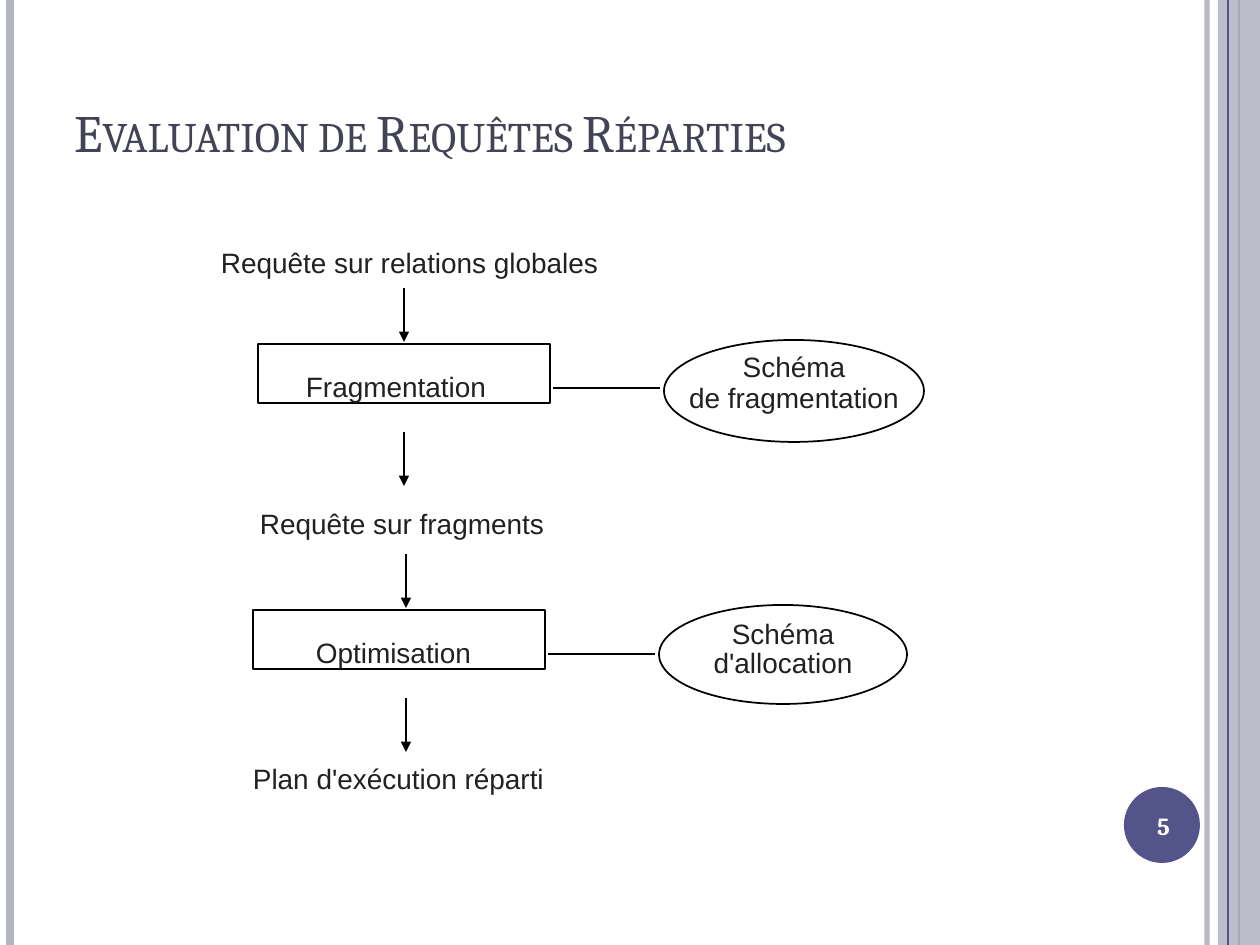
from lxml.etree import SubElement
from pptx import Presentation
from pptx.dml.color import RGBColor
from pptx.enum.shapes import MSO_CONNECTOR, MSO_SHAPE
from pptx.enum.text import MSO_ANCHOR, PP_ALIGN
from pptx.oxml.ns import qn
from pptx.util import Emu, Pt

PX = 914400 / 126
INK, BLACK, INDIGO, LAVENDER = "232021", "000000", "53548A", "B3B4C4"
STAGE_WIDTH, STAGE_HEIGHT = 292, 59


def px(length):
    return Emu(round(length * PX))


def color(hex_string):
    return RGBColor.from_string(hex_string)


def set_opacity(shape, percent):
    for clr in shape.element.spPr.iter(qn("a:srgbClr")):
        SubElement(clr, qn("a:alpha"), val=str(percent * 1000))


def add_line(slide, x1, y1, x2, y2, line_color=BLACK, width=1, arrow=False):
    line = slide.shapes.add_connector(
        MSO_CONNECTOR.STRAIGHT, px(x1), px(y1), px(x2), px(y2))
    line.line.color.rgb = color(line_color)
    line.line.width = Pt(width)
    if arrow:
        SubElement(line.line._get_or_add_ln(), qn("a:tailEnd"),
                   type="triangle", w="med", len="med")
    SubElement(line.element.spPr, qn("a:effectLst"))
    return line


def add_outline(slide, preset, box, fill=None, line=None):
    shape = slide.shapes.add_shape(preset, *map(px, box))
    shape.shadow.inherit = False
    if fill:
        shape.fill.solid()
        shape.fill.fore_color.rgb = color(fill)
    else:
        shape.fill.background()
    if line:
        shape.line.color.rgb = color(line)
        shape.line.width = Pt(1)
    else:
        shape.line.fill.background()
    return shape


def write(shape, text, insets=(0, 0, 0, 0), anchor=MSO_ANCHOR.TOP,
          align=PP_ALIGN.LEFT, size=16, font="Arial", font_color=INK,
          bold=False, spacing=None):
    """Fill a shape with text; insets are left, top, right, bottom in px."""
    frame = shape.text_frame
    frame.text = text
    frame.word_wrap = False
    frame.vertical_anchor = anchor
    (frame.margin_left, frame.margin_top,
     frame.margin_right, frame.margin_bottom) = map(px, insets)
    for paragraph in frame.paragraphs:
        paragraph.alignment = align
        if spacing:
            paragraph.line_spacing = Pt(spacing)
        for run in paragraph.runs:
            run.font.size = Pt(size)
            run.font.name = font
            run.font.bold = bold
            run.font.color.rgb = color(font_color)


def add_margins(slide, width, height):
    """Draw the vertical rules and the band along the slide's edges."""
    right_rule = add_line(slide, width - 53, 0, width - 53, height, LAVENDER, 3)
    set_opacity(right_rule, 93)
    add_line(slide, 10, 0, 10, height, LAVENDER, 4.5)
    add_line(slide, width - 21, 0, width - 21, height, INDIGO, 1.5)
    band = add_outline(slide, MSO_SHAPE.RECTANGLE,
                       (width - 42, 0, 42, height), fill=LAVENDER)
    set_opacity(band, 87)
    add_line(slide, width - 32, 0, width - 32, height, INDIGO, 0.75)


def add_page_number(slide, box, number):
    badge = add_outline(slide, MSO_SHAPE.OVAL, box, fill=INDIGO)
    write(badge, number, (3, 2, 0, 0), MSO_ANCHOR.MIDDLE, PP_ALIGN.CENTER,
          14, "Cambria", "FFFFFF", True)


def set_title(slide, box, text):
    title = slide.shapes.title
    title.left, title.top, title.width, title.height = map(px, box)
    write(title, text, (1, 0, 0, 0), MSO_ANCHOR.BOTTOM,
          size=30, font="Cambria", font_color="424456")
    title.text_frame.paragraphs[0].runs[0]._r.get_or_add_rPr().set("cap", "small")


def add_query(slide, left, top, width, text):
    label = slide.shapes.add_textbox(px(left), px(top), px(width), px(32))
    write(label, text, (1, 0, 0, 0))


def add_stage(slide, left, top, arrow_x, step, indent):
    """Draw a processing step with the arrows into and out of it."""
    step_box = add_outline(slide, MSO_SHAPE.RECTANGLE,
                           (left, top, STAGE_WIDTH, STAGE_HEIGHT), line=BLACK)
    write(step_box, step, (indent, 26, 0, 0))
    for arrow_top in (top - 56, top + 88):
        add_line(slide, arrow_x, arrow_top, arrow_x, arrow_top + 54, arrow=True)
    link_left, link_y = left + STAGE_WIDTH + 3, top + 44
    add_line(slide, link_left, link_y, link_left + 107, link_y)


def add_schema(slide, box, text, lift, spacing):
    """Draw a schema ellipse whose text sits lift px above its centre."""
    schema = add_outline(slide, MSO_SHAPE.OVAL, box, line=BLACK)
    write(schema, text, (0, 0, 0, 2 * lift), MSO_ANCHOR.MIDDLE,
          PP_ALIGN.CENTER, spacing=spacing)


def main():
    prs = Presentation()
    prs.slide_width, prs.slide_height = px(1260), px(945)
    slide = prs.slides.add_slide(prs.slide_layouts[5])

    add_margins(slide, 1260, 945)
    set_title(slide, (73, 97, 969, 66), "Evaluation de Requêtes Réparties")

    add_query(slide, 220, 246, 391, "Requête sur relations globales")
    add_stage(slide, 258, 344, 404, "Fragmentation", 48)
    add_schema(slide, (664, 340, 260, 102), "Schéma\nde fragmentation", 8, 18)

    add_query(slide, 259, 507, 295, "Requête sur fragments")
    add_stage(slide, 253, 610, 406, "Optimisation", 63)
    add_schema(slide, (659, 605, 248, 99), "Schéma\nd'allocation", 4, 16.6)

    add_query(slide, 252, 762, 302, "Plan d'exécution réparti")
    add_page_number(slide, (1124, 787, 76, 76), "5")
    prs.save("out.pptx")


if __name__ == "__main__":
    main()
